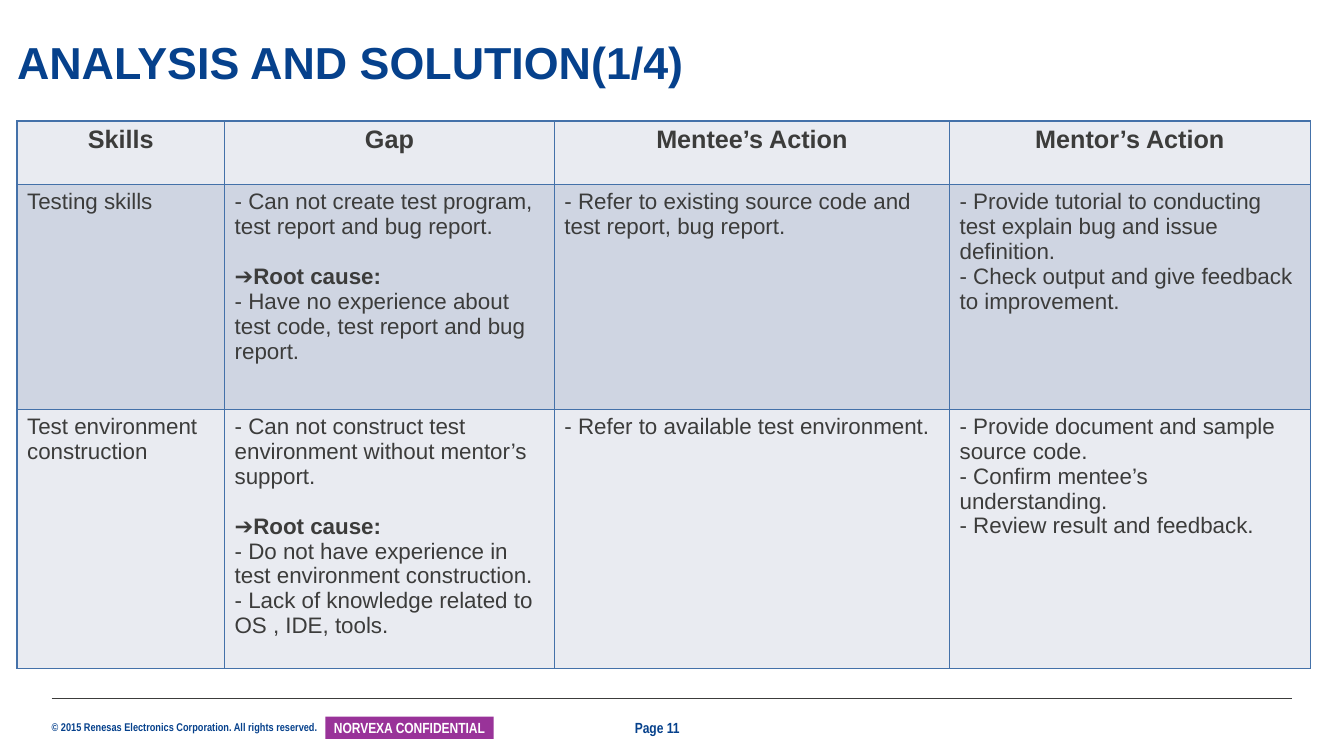
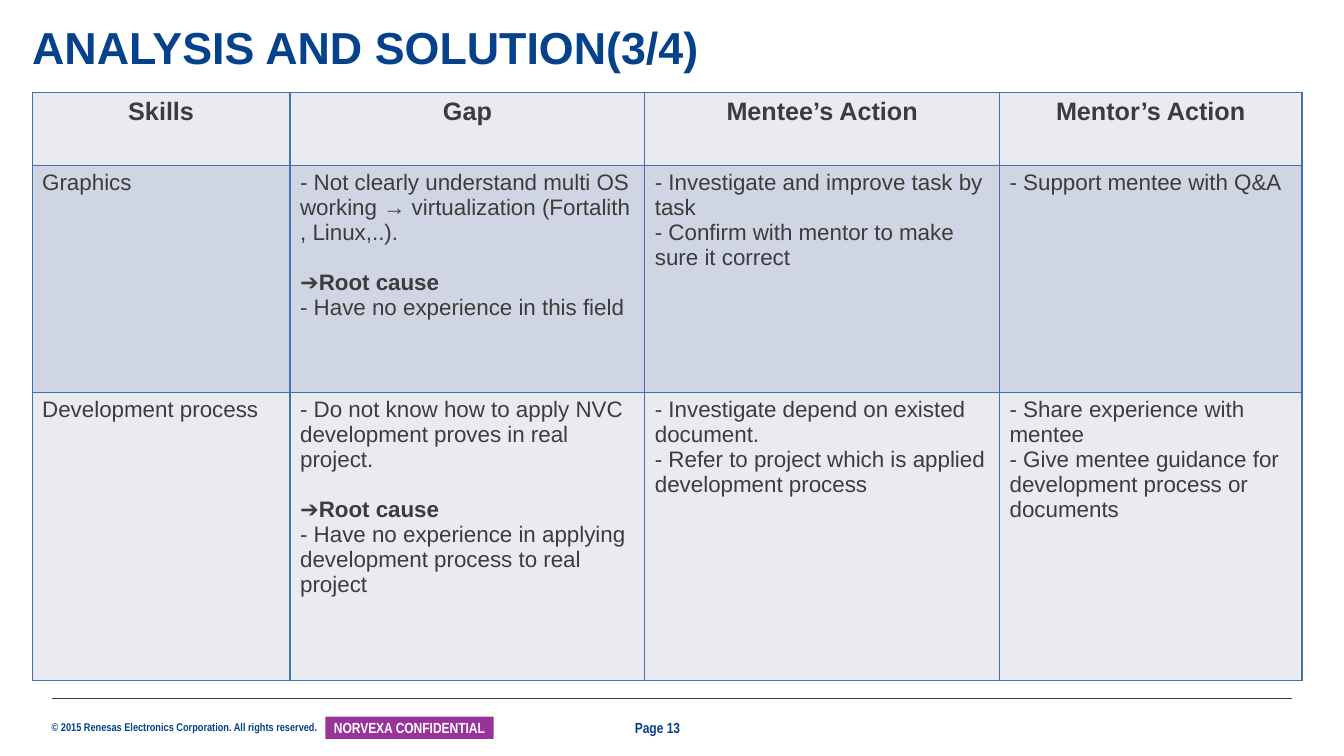
from lxml.etree import SubElement
from pptx import Presentation
from pptx.dml.color import RGBColor
from pptx.enum.shapes import MSO_CONNECTOR as Connector, MSO_SHAPE as Shape
from pptx.enum.text import MSO_ANCHOR as Anchor, PP_ALIGN as Align
from pptx.oxml.ns import qn
from pptx.util import Cm, Pt

HEADINGS = ["Skills", "Gap", "Mentee’s Action", "Mentor’s Action"]


def rgb(value):
    return RGBColor.from_string(value)


def write(frame, text, size=16, font="Arial", color="3C3C3B", bold=False,
          align=Align.LEFT, anchor=Anchor.TOP, spacing=None, margins=None,
          wrap=True):
    frame.word_wrap = wrap
    frame.vertical_anchor = anchor
    if margins is not None:
        frame.margin_left = frame.margin_right = Cm(margins)
        frame.margin_top = frame.margin_bottom = 0
    for index, line in enumerate(text.split("\n")):
        paragraph = frame.add_paragraph() if index else frame.paragraphs[0]
        is_cause = line.startswith("➔")
        paragraph.alignment = align
        if spacing:
            paragraph.line_spacing = spacing
        if is_cause:
            paragraph.space_before = Pt(18)
        run = paragraph.add_run()
        run.text = line
        run.font.size = Pt(size)
        run.font.name = font
        run.font.bold = bold or is_cause
        run.font.color.rgb = rgb(color)


class Deck:
    NAVY, INK, WHITE, PURPLE = "06418C", "3C3C3B", "FFFFFF", "993399"
    BORDER, LIGHT, SHADED = "4471A9", "E9EBF1", "CFD5E2"
    NARROW = "Arial Narrow"

    def __init__(self):
        self.prs = Presentation()
        self.prs.slide_width, self.prs.slide_height = Cm(33.87), Cm(19.05)
        self.slide = None

    def start(self, page):
        self.slide = self.prs.slides.add_slide(self.prs.slide_layouts[6])
        self.rule(1.3, 32.56, 17.6)
        self.text("© 2015 Renesas Electronics Corporation. All rights reserved.",
                  1.3, 18.16, 6.81, 0.33, size=8, font=self.NARROW, wrap=False)
        self.badge("NORVEXA CONFIDENTIAL", 8.2, 18.06, 4.24, 0.56)
        self.text(f"Page {page}", 16, 18.11, 1.85, 0.46, size=10.5,
                  font=self.NARROW, anchor=Anchor.MIDDLE)

    def text(self, text, left, top, width, height, **style):
        box = self.slide.shapes.add_textbox(Cm(left), Cm(top), Cm(width), Cm(height))
        write(box.text_frame, text, color=self.NAVY, bold=True, margins=0, **style)

    def title(self, text, left, top):
        self.text(text, left, top, 25, 1.22, size=32, anchor=Anchor.BOTTOM,
                  spacing=0.9)

    def rule(self, left, right, top):
        line = self.slide.shapes.add_connector(
            Connector.STRAIGHT, Cm(left), Cm(top), Cm(right), Cm(top))
        line.line.color.rgb = rgb(self.INK)
        line.line.width = Pt(0.5)
        SubElement(line._element.spPr, qn("a:effectLst"))

    def badge(self, text, left, top, width, height):
        shape = self.slide.shapes.add_shape(
            Shape.RECTANGLE, Cm(left), Cm(top), Cm(width), Cm(height))
        shape.shadow.inherit = False
        shape.fill.solid()
        shape.fill.fore_color.rgb = rgb(self.PURPLE)
        shape.line.fill.background()
        write(shape.text_frame, text, size=10.5, font=self.NARROW, color=self.WHITE,
              bold=True, align=Align.CENTER, anchor=Anchor.MIDDLE, margins=0.1)

    def cell_style(self, cell, fill):
        properties = cell._tc.get_or_add_tcPr()
        for side in ("lnL", "lnR", "lnT", "lnB"):
            border = SubElement(properties, qn(f"a:{side}"), w=str(Pt(1)))
            paint = SubElement(border, qn("a:solidFill"))
            SubElement(paint, qn("a:srgbClr"), val=self.BORDER)
        cell.fill.solid()
        cell.fill.fore_color.rgb = rgb(fill)

    def table(self, left, top, widths, heights, skills):
        rows = [HEADINGS, *skills]
        table = self.slide.shapes.add_table(
            len(rows), len(widths), Cm(left), Cm(top),
            Cm(sum(widths)), Cm(sum(heights))).table
        table.first_row = table.horz_banding = False
        for column, width in zip(table.columns, widths):
            column.width = Cm(width)
        for row, height in zip(table.rows, heights):
            row.height = Cm(height)
        for r, entries in enumerate(rows):
            style = {} if r else {"size": 18, "bold": True, "align": Align.CENTER}
            for c, entry in enumerate(entries):
                cell = table.cell(r, c)
                self.cell_style(cell, self.SHADED if r % 2 else self.LIGHT)
                write(cell.text_frame, entry, color=self.INK, **style)


def main():
    deck = Deck()

    deck.start(11)
    deck.title("ANALYSIS AND SOLUTION(1/4)", 0.43, 1.04)
    deck.table(0.43, 3.05, [5.23, 8.31, 9.96, 9.09], [1.6, 5.66, 6.53], [
        ["Testing skills",
         "- Can not create test program, test report and bug report.\n"
         "➔Root cause:\n"
         "- Have no experience about test code, test report and bug report.",
         "- Refer to existing source code and test report, bug report.",
         "- Provide tutorial to conducting test explain bug and issue definition.\n"
         "- Check output and give feedback to improvement."],
        ["Test environment construction",
         "- Can not construct test environment without mentor’s support.\n"
         "➔Root cause:\n"
         "- Do not have experience in test environment construction.\n"
         "- Lack of knowledge related to OS , IDE, tools.",
         "- Refer to available test environment.",
         "- Provide document and sample source code.\n"
         "- Confirm mentee’s understanding.\n"
         "- Review result and feedback."],
    ])

    deck.start(13)
    deck.title("ANALYSIS AND SOLUTION(3/4)", 0.81, 0.64)
    deck.table(0.81, 2.34, [6.5, 8.94, 8.94, 7.62], [1.83, 5.72, 7.26], [
        ["Graphics",
         "- Not clearly understand multi OS working → virtualization "
         "(Fortalith , Linux,..).\n"
         "➔Root cause\n"
         "- Have no experience in this field",
         "- Investigate and improve task by task\n"
         "- Confirm with mentor to make sure it correct",
         "- Support mentee with Q&A"],
        ["Development process",
         "- Do not know how to apply NVC development proves in real project.\n"
         "➔Root cause\n"
         "- Have no experience in applying development process to real project",
         "- Investigate depend on existed document.\n"
         "- Refer to project which is applied development process",
         "- Share experience with mentee\n"
         "- Give mentee guidance for development process or documents"],
    ])

    deck.prs.save("out.pptx")


if __name__ == "__main__":
    main()
